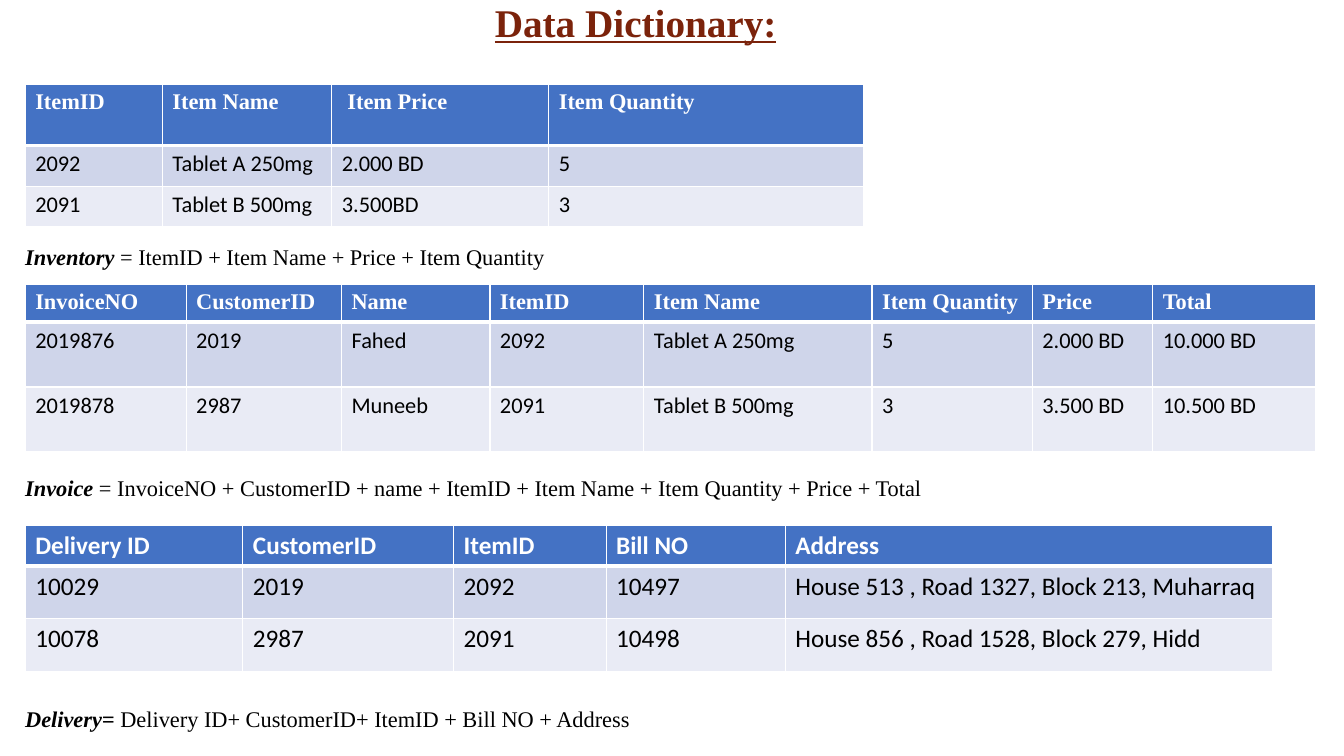
import lxml.etree
import pptx
import pptx.dml.color
import pptx.enum.text
import pptx.oxml.ns
import pptx.util

Pt = pptx.util.Pt
SERIF, SANS = "Times New Roman", "Calibri"

TITLE = "Data Dictionary:"
TABLES = [
    {
        "top": 60, "widths": [98, 121, 155, 225], "heights": [44, 29, 29],
        "header": "table_head", "body": "table_body",
        "rows": [
            ["ItemID", "Item Name", " Item Price", "Item Quantity"],
            ["2092", "Tablet A 250mg", "2.000 BD", "5"],
            ["2091", "Tablet B 500mg", "3.500BD", "3"],
        ],
    },
    {
        "top": 203.5, "widths": [115, 111, 106, 110, 163, 114.5, 86, 116.5],
        "heights": [25, 46.5, 46.5],
        "header": "table_head", "body": "table_body",
        "rows": [
            ["InvoiceNO", "CustomerID", "Name", "ItemID", "Item Name", "Item Quantity", "Price", "Total"],
            ["2019876", "2019", "Fahed", "2092", "Tablet A 250mg", "5", "2.000 BD", "10.000 BD"],
            ["2019878", "2987", "Muneeb", "2091", "Tablet B 500mg", "3", "3.500 BD", "10.500 BD"],
        ],
    },
    {
        "top": 375, "widths": [155.5, 150.5, 109, 128, 348], "heights": [29.5, 37.5, 37.5],
        "header": "delivery_head", "body": "delivery_body",
        "rows": [
            ["Delivery ID", "CustomerID", "ItemID", "Bill NO", "Address"],
            ["10029", "2019", "2092", "10497", "House 513 , Road 1327, Block 213, Muharraq"],
            ["10078", "2987", "2091", "10498", "House 856 , Road 1528, Block 279, Hidd"],
        ],
    },
]
DEFINITIONS = [
    (183.5, "Inventory", " = ItemID + Item Name + Price + Item Quantity"),
    (348.5, "Invoice", " = InvoiceNO + CustomerID + name + ItemID + Item Name + Item Quantity + Price + Total"),
    (513, "Delivery= ", "Delivery ID+ CustomerID+ ItemID + Bill NO + Address"),
]

THEME = {
    "header_fill": "4472C4",
    "bands": ["CFD5EA", "E9EBF5"],
    "border": "FFFFFF",
    "title": {"name": SERIF, "size": Pt(28), "bold": True, "underline": True, "color": "7B230B"},
    "term": {"name": SERIF, "size": Pt(16), "bold": True, "italic": True, "color": "000000"},
    "definition": {"name": SERIF, "size": Pt(16), "color": "000000"},
    "table_head": {"name": SERIF, "size": Pt(16), "bold": True, "color": "FFFFFF"},
    "table_body": {"name": SANS, "size": Pt(16), "bold": False, "color": "000000"},
    "delivery_head": {"name": SANS, "size": Pt(18), "bold": True, "color": "FFFFFF"},
    "delivery_body": {"name": SANS, "size": Pt(18), "bold": False, "color": "000000"},
}
LEFT = 18
LINE_HEIGHT = 26


def rgb(value):
    return pptx.dml.color.RGBColor.from_string(value)


def add_run(p, text, style):
    r = p.add_run()
    r.text = text
    for key, value in THEME[style].items():
        if key == "color":
            r.font.color.rgb = rgb(value)
        else:
            setattr(r.font, key, value)


def add_line(slide, left, middle, width, runs):
    box = slide.shapes.add_textbox(Pt(left), Pt(middle - LINE_HEIGHT / 2), Pt(width), Pt(LINE_HEIGHT))
    tf = box.text_frame
    settings = {
        "word_wrap": True,
        "vertical_anchor": pptx.enum.text.MSO_ANCHOR.MIDDLE,
        "margin_left": 0, "margin_right": 0, "margin_top": 0, "margin_bottom": 0,
    }
    for key, value in settings.items():
        setattr(tf, key, value)
    for text, style in runs:
        add_run(tf.paragraphs[0], text, style)


def set_borders(cell, row):
    qn = pptx.oxml.ns.qn
    tc_pr = cell._tc.get_or_add_tcPr()
    widths = {"L": 1, "R": 1, "T": 3 if row == 1 else 1, "B": 3 if row == 0 else 1}
    for side, width in widths.items():
        ln = lxml.etree.SubElement(tc_pr, qn(f"a:ln{side}"), w=str(Pt(width)))
        fill = lxml.etree.SubElement(ln, qn("a:solidFill"))
        lxml.etree.SubElement(fill, qn("a:srgbClr"), val=THEME["border"])


def add_data_table(slide, data):
    rows, widths, heights = data["rows"], data["widths"], data["heights"]
    frame = slide.shapes.add_table(
        len(rows), len(widths), Pt(LEFT), Pt(data["top"]), Pt(sum(widths)), Pt(sum(heights)))
    table = frame.table
    for column, width in zip(table.columns, widths):
        column.width = Pt(width)
    for i, values in enumerate(rows):
        table.rows[i].height = Pt(heights[i])
        color = THEME["bands"][(i - 1) % 2] if i else THEME["header_fill"]
        for j, text in enumerate(values):
            cell = table.cell(i, j)
            set_borders(cell, i)
            cell.fill.solid()
            cell.fill.fore_color.rgb = rgb(color)
            add_run(cell.text_frame.paragraphs[0], text, data["body" if i else "header"])


def main():
    prs = pptx.Presentation()
    prs.slide_width, prs.slide_height = Pt(960), Pt(540)
    slide = prs.slides.add_slide(prs.slide_layouts[6])
    add_line(slide, 353.5, 15.5, 225, [(TITLE, "title")])
    for middle, term, definition in DEFINITIONS:
        add_line(slide, LEFT, middle, 920, [(term, "term"), (definition, "definition")])
    for data in TABLES:
        add_data_table(slide, data)
    prs.save("out.pptx")


if __name__ == "__main__":
    main()
